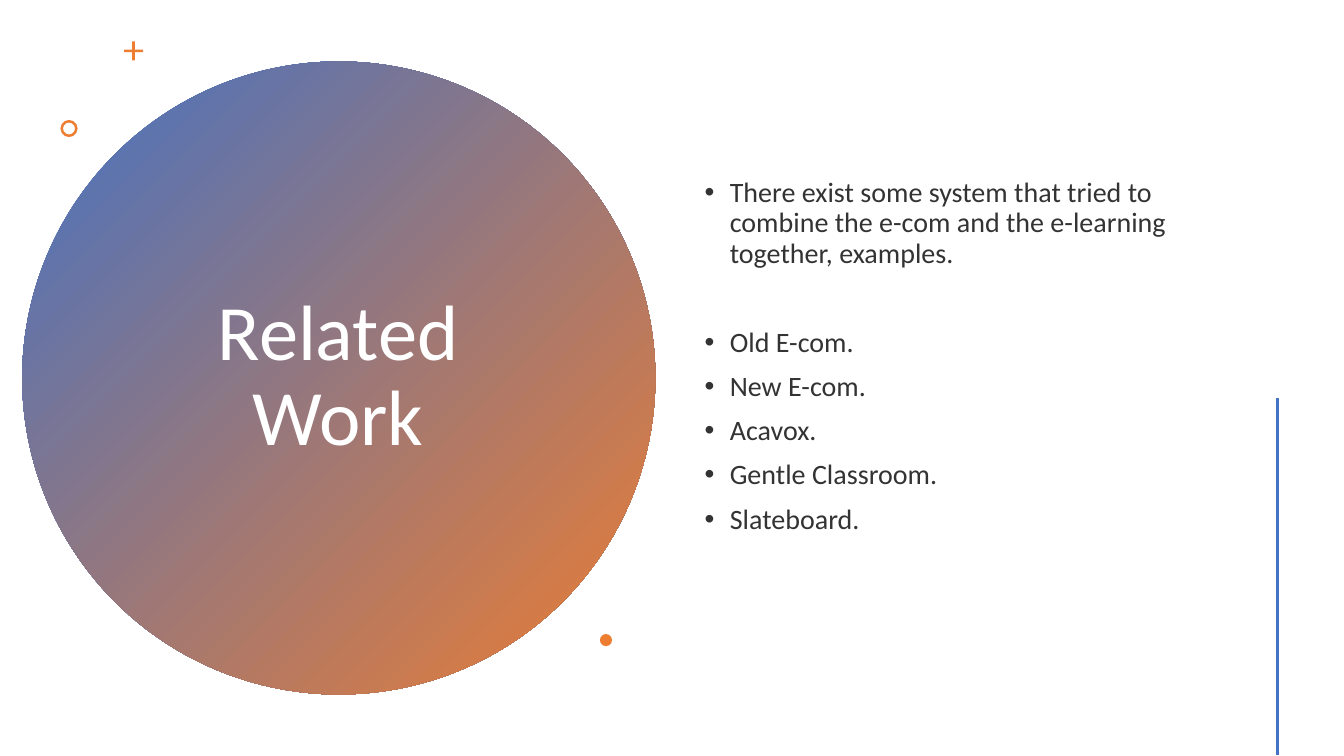
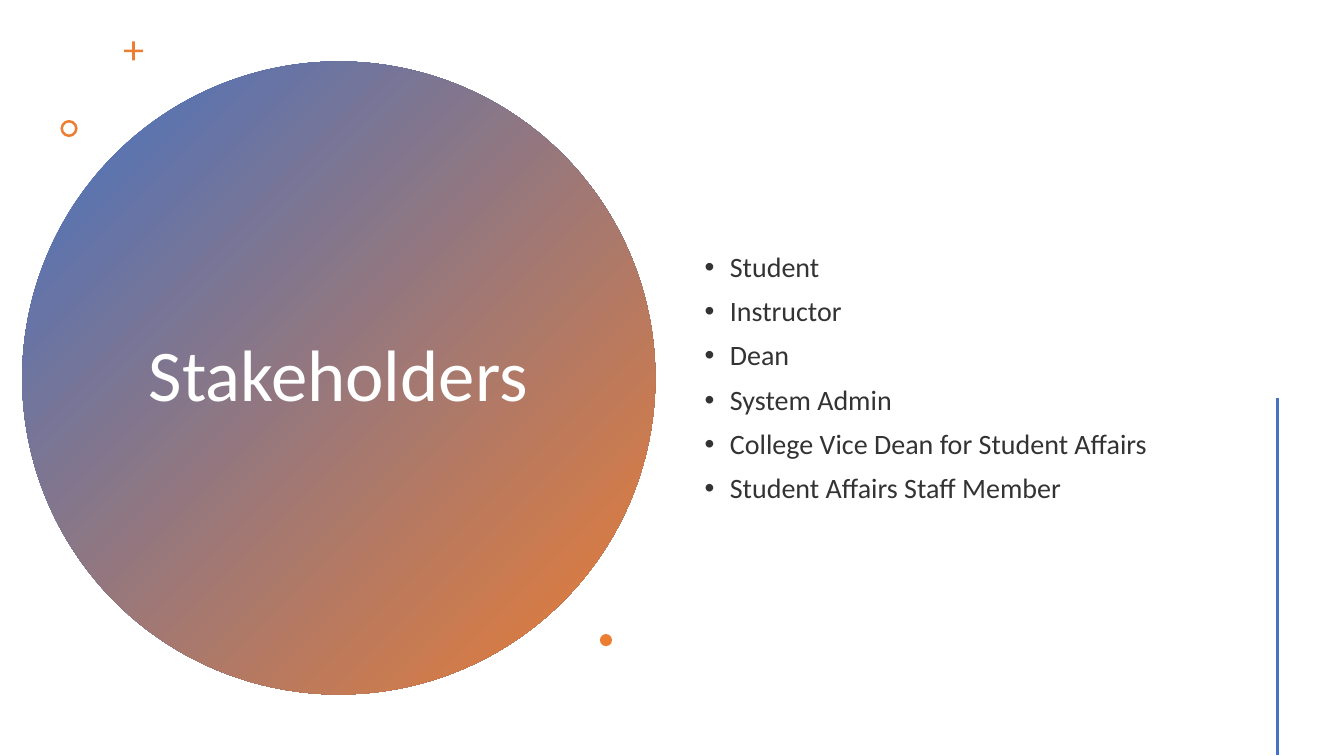
import pptx
import pptx.util
import pptx.dml.color
import pptx.enum.shapes
import pptx.enum.text
import pptx.oxml.ns
from lxml import etree

Inches = pptx.util.Inches
Pt = pptx.util.Pt
RGBColor = pptx.dml.color.RGBColor
ShapeType = pptx.enum.shapes.MSO_SHAPE
Align = pptx.enum.text.PP_ALIGN

BLUE = RGBColor(0x44, 0x72, 0xC4)
ORANGE = RGBColor(0xED, 0x7D, 0x31)
WHITE = RGBColor(0xFF, 0xFF, 0xFF)
DARK_GRAY = RGBColor(0x33, 0x33, 0x33)
FONT = "Calibri"

SLIDES = [
    {
        "title": "Related Work",
        "title_size": 56,
        "bullets": [
            "There exist some system that tried to combine the e-com and the e-learning together, examples.",
            "Old E-com.",
            "New E-com.",
            "Acavox.",
            "Gentle Classroom.",
            "Slateboard.",
        ],
        "wide_gap_before": 1,
        "bottom_inset": 0.49,
    },
    {
        "title": "Stakeholders",
        "title_size": 52,
        "bullets": [
            "Student",
            "Instructor",
            "Dean",
            "System Admin",
            "College Vice Dean for Student Affairs",
            "Student Affairs Staff Member",
        ],
        "wide_gap_before": None,
        "bottom_inset": 0.05,
    },
]

CIRCLE_BOX = (0.22, 0.61, 6.28, 6.28)
TITLE_BOX = (1.36, 1.41, 3.99, 4.67)
BULLETS_BOX = (6.89, 0.57, 5.22, 6.38)
ORNAMENTS = [
    (ShapeType.CROSS, (1.23, 0.41, 0.19, 0.19), 0.43),
    (ShapeType.DONUT, (0.6, 1.19, 0.17, 0.17), 0.15),
    (ShapeType.OVAL, (5.95, 6.29, 0.12, 0.12), None),
]
RULE_X, RULE_TOP, RULE_BOTTOM = 12.67, 3.95, 7.49
BULLET_INDENT = 0.25
BULLET_GAP, WIDE_GAP = 10, 42


def set_attributes(target, formats):
    for name, value in formats.items():
        setattr(target, name, value)


def add_plain_shape(slide, kind, box):
    shape = slide.shapes.add_shape(kind, *map(Inches, box))
    shape.shadow.inherit = False
    shape.line.fill.background()
    return shape


def add_circle(slide):
    circle = add_plain_shape(slide, ShapeType.OVAL, CIRCLE_BOX)
    circle.fill.gradient()
    circle.fill.gradient_angle = 315
    for stop, color, position in zip(circle.fill.gradient_stops, (BLUE, ORANGE), (0, 1)):
        stop.color.rgb = color
        stop.position = position


def add_ornaments(slide):
    for kind, box, adjustment in ORNAMENTS:
        ornament = add_plain_shape(slide, kind, box)
        ornament.fill.solid()
        ornament.fill.fore_color.rgb = ORANGE
        if adjustment is not None:
            ornament.adjustments[0] = adjustment


def add_rule(slide):
    rule = slide.shapes.add_connector(
        pptx.enum.shapes.MSO_CONNECTOR.STRAIGHT,
        *map(Inches, (RULE_X, RULE_TOP, RULE_X, RULE_BOTTOM)),
    )
    rule.line.color.rgb = BLUE
    rule.line.width = Pt(2)
    properties = rule.element.find(pptx.oxml.ns.qn("p:spPr"))
    etree.SubElement(properties, pptx.oxml.ns.qn("a:effectLst"))


def add_text_frame(slide, box):
    frame = slide.shapes.add_textbox(*map(Inches, box)).text_frame
    set_attributes(frame, {
        "word_wrap": True,
        "vertical_anchor": pptx.enum.text.MSO_ANCHOR.MIDDLE,
    })
    return frame


def write_paragraph(paragraph, text, size, color, formats):
    run = paragraph.add_run()
    run.text = text
    set_attributes(run.font, {"name": FONT, "size": Pt(size)})
    run.font.color.rgb = color
    set_attributes(paragraph, {"line_spacing": 0.9, **formats})


def add_bullet_mark(paragraph):
    properties = paragraph._p.get_or_add_pPr()
    properties.set("marL", str(Inches(BULLET_INDENT)))
    properties.set("indent", str(-Inches(BULLET_INDENT)))
    mark_font = etree.SubElement(properties, pptx.oxml.ns.qn("a:buFont"))
    mark_font.set("typeface", "Arial")
    mark = etree.SubElement(properties, pptx.oxml.ns.qn("a:buChar"))
    mark.set("char", "•")


def add_title(slide, content):
    frame = add_text_frame(slide, TITLE_BOX)
    write_paragraph(frame.paragraphs[0], content["title"], content["title_size"],
                    WHITE, {"alignment": Align.CENTER})


def add_bullets(slide, content):
    frame = add_text_frame(slide, BULLETS_BOX)
    frame.margin_bottom = Inches(content["bottom_inset"])
    for index, text in enumerate(content["bullets"]):
        paragraph = frame.add_paragraph() if index else frame.paragraphs[0]
        gap = WIDE_GAP if index == content["wide_gap_before"] else BULLET_GAP
        write_paragraph(paragraph, text, 20, DARK_GRAY, {"space_before": Pt(gap)})
        add_bullet_mark(paragraph)


def main():
    presentation = pptx.Presentation()
    set_attributes(presentation, {"slide_width": Inches(13.33), "slide_height": Inches(7.5)})
    for content in SLIDES:
        slide = presentation.slides.add_slide(presentation.slide_layouts[6])
        add_circle(slide)
        add_title(slide, content)
        add_ornaments(slide)
        add_bullets(slide, content)
        add_rule(slide)
    presentation.save("out.pptx")


if __name__ == "__main__":
    main()
